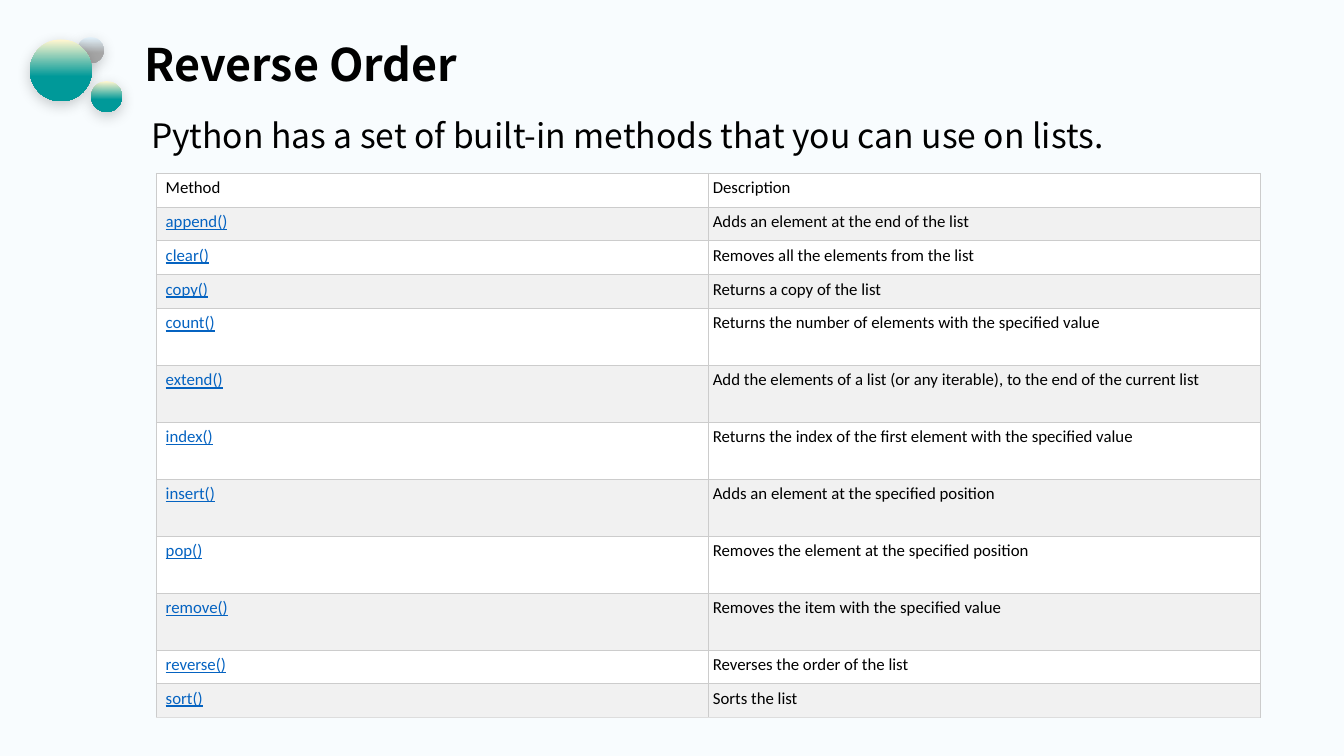
from lxml import etree
from pptx import Presentation
from pptx.dml.color import RGBColor
from pptx.enum import shapes, text
from pptx.oxml import ns
from pptx.util import Pt

BACKGROUND = RGBColor(0xF8, 0xFC, 0xFE)
BLACK = RGBColor(0, 0, 0)
WHITE = RGBColor(0xFF, 0xFF, 0xFF)
BAND = RGBColor(0xF1, 0xF1, 0xF1)
LINK = RGBColor(0x05, 0x63, 0xC1)
BORDER = RGBColor(0xCC, 0xCC, 0xCC)
LAST_BORDER = RGBColor(0xDD, 0xDD, 0xDD)
PALE_BLUE = RGBColor(0xE1, 0xF0, 0xF9)
GREY = RGBColor(0xA5, 0xA5, 0xA5)
CREAM = RGBColor(0xFF, 0xF6, 0xCF)
TEAL = RGBColor(0x00, 0x99, 0x99)
HEADING_FONT = "Noto Sans CJK SC"
TABLE_FONT = "Calibri"


def add_xml(parent, tag, **attributes):
    """Append a drawing element with the given attributes and return it."""
    child = etree.SubElement(parent, ns.qn(tag))
    for name, value in attributes.items():
        child.set(name, str(value))
    return child


def write(tf, words, **font):
    """Put one left-aligned run in a text frame and format its font."""
    tf.word_wrap = True
    p = tf.paragraphs[0]
    p.alignment = text.PP_ALIGN.LEFT
    r = p.add_run()
    r.text = words
    r.font.color.rgb = font.pop("color", BLACK)
    for name, value in font.items():
        setattr(r.font, name, value)
    return p


prs = Presentation()
prs.slide_width, prs.slide_height = Pt(960), Pt(540)
s = prs.slides.add_slide(prs.slide_layouts[5])
s.background.fill.solid()
s.background.fill.fore_color.rgb = BACKGROUND

# Bubbles: left, top, diameter, top colour, bottom colour
bubbles = [
    (55.4, 26.6, 18.7, PALE_BLUE, GREY),
    (65.2, 58, 22, CREAM, TEAL),
    (21.4, 28.2, 44.2, CREAM, TEAL),
]
for left, top, size, light, dark in bubbles:
    sp = s.shapes.add_shape(shapes.MSO_SHAPE.OVAL, Pt(left), Pt(top), Pt(size), Pt(size))
    sp.line.fill.background()
    sp.fill.gradient()
    sp.fill.gradient_angle = 270
    for stop, position, color in zip(sp.fill.gradient_stops, (0.01, 0.6), (light, dark)):
        stop.position = position
        stop.color.rgb = color
    sp.shadow.inherit = False
    effects = sp._element.spPr.find(ns.qn("a:effectLst"))
    shadow = add_xml(effects, "a:outerShdw", blurRad=Pt(10), dist=Pt(3), dir=5400000,
                     algn="t", rotWithShape=0)
    add_xml(add_xml(shadow, "a:srgbClr", val=BLACK), "a:alpha", val=20000)

# Title and introduction
title = s.shapes.title
place = {"left": Pt(95.8), "top": Pt(26.6), "width": Pt(751.7), "height": Pt(42.5)}
for name, value in place.items():
    setattr(title, name, value)
p = write(title.text_frame, "Reverse Order", name=HEADING_FONT, size=Pt(32), bold=True)
p.line_spacing = 0.9
intro = s.shapes.add_textbox(Pt(100.8), Pt(78.5), Pt(788.4), Pt(36))
write(intro.text_frame, "Python has a set of built-in methods that you can use on lists.",
      name=HEADING_FONT, size=Pt(24))
for sp in (title, intro):
    sp.text_frame.vertical_anchor = text.MSO_ANCHOR.MIDDLE
    sp.text_frame.auto_size = text.MSO_AUTO_SIZE.NONE

# Table of list methods
methods = [
    ("Method", "Description"),
    ("append()", "Adds an element at the end of the list"),
    ("clear()", "Removes all the elements from the list"),
    ("copy()", "Returns a copy of the list"),
    ("count()", "Returns the number of elements with the specified value"),
    ("extend()", "Add the elements of a list (or any iterable), to the end of the current list"),
    ("index()", "Returns the index of the first element with the specified value"),
    ("insert()", "Adds an element at the specified position"),
    ("pop()", "Removes the element at the specified position"),
    ("remove()", "Removes the item with the specified value"),
    ("reverse()", "Reverses the order of the list"),
    ("sort()", "Sorts the list"),
]
LOW, TALL = 24.1, 40.7
heights = [LOW] * 4 + [TALL] * 6 + [LOW] * 2
table = s.shapes.add_table(len(methods), 2, Pt(111.6), Pt(123.8), Pt(788.4),
                           Pt(sum(heights))).table
table.first_row = table.horz_banding = False
for column in table.columns:
    column.width = Pt(394.2)

for i, (row, height) in enumerate(zip(methods, heights)):
    table.rows[i].height = Pt(height)
    for j, words in enumerate(row):
        cell = table.cell(i, j)
        is_link = i > 0 and j == 0
        write(cell.text_frame, words, name=TABLE_FONT, size=Pt(12),
              color=LINK if is_link else BLACK, underline=is_link)
        margins = {"margin_left": 3.4 if j else 6.8, "margin_right": 3.4,
                   "margin_top": 3.4, "margin_bottom": 3.4}
        for name, value in margins.items():
            setattr(cell, name, Pt(value))
        # Borders come before the fill in the cell properties
        tc_pr = cell._tc.get_or_add_tcPr()
        for side in "LRTB":
            last = side == "B" and i == len(methods) - 1
            ln = add_xml(tc_pr, "a:ln" + side, w=Pt(0.6))
            add_xml(add_xml(ln, "a:solidFill"), "a:srgbClr", val=LAST_BORDER if last else BORDER)
        cell.fill.solid()
        cell.fill.fore_color.rgb = BAND if i % 2 else WHITE

prs.save("out.pptx")
